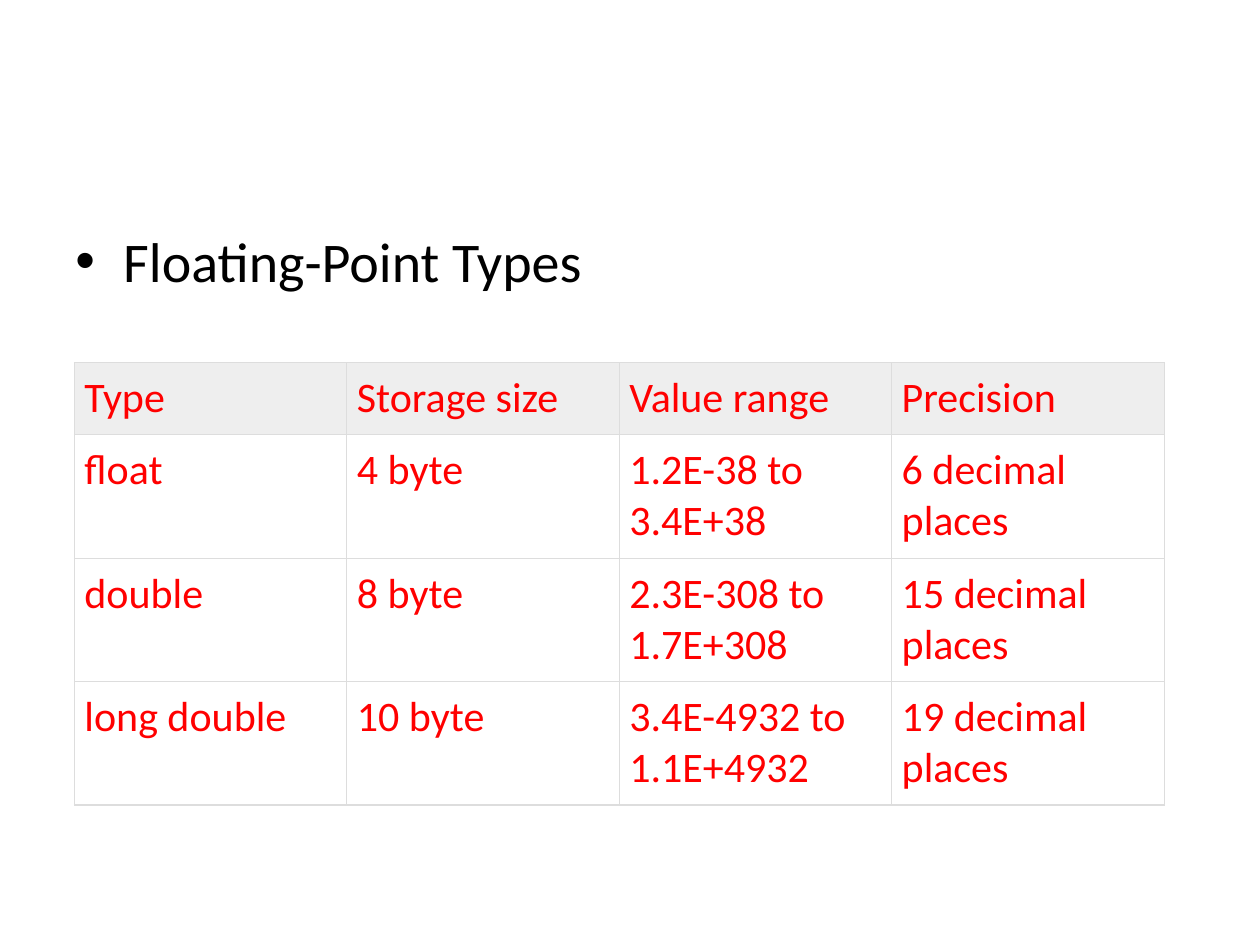
from typing import NamedTuple

from lxml import etree
from pptx import Presentation
from pptx import util as u
from pptx.dml.color import RGBColor
from pptx.enum import text
from pptx.oxml import ns

FONT = "Calibri"
RULE_COLOUR = "DDDDDD"
HEADER_FILL = "EEEEEE"
ROW_FILL = "FFFFFF"
CELL_FORMAT = {
    "margin_left": u.Inches(0.08),
    "margin_right": u.Inches(0.08),
    "margin_top": u.Inches(0.08),
    "margin_bottom": u.Inches(0.08),
    "vertical_anchor": text.MSO_ANCHOR.TOP,
}


class FloatType(NamedTuple):
    name: str
    storage: str
    value_range: str
    precision: str


HEADINGS = FloatType("Type", "Storage size", "Value range", "Precision")
FLOAT_TYPES = [
    FloatType("float", "4 byte", "1.2E-38 to 3.4E+38", "6 decimal places"),
    FloatType("double", "8 byte", "2.3E-308 to 1.7E+308", "15 decimal places"),
    FloatType("long double", "10 byte", "3.4E-4932 to 1.1E+4932", "19 decimal places"),
]


def colour(hex_value: str) -> RGBColor:
    return RGBColor.from_string(hex_value)


def add_element(parent, tag: str, **attributes: str):
    return etree.SubElement(parent, ns.qn(tag), attributes)


def write_text(paragraph, words: str, size: int, hex_value: str) -> None:
    run = paragraph.add_run()
    run.text = words
    for attribute, value in {"name": FONT, "size": u.Pt(size), "bold": False}.items():
        setattr(run.font, attribute, value)
    run.font.color.rgb = colour(hex_value)


def add_bullet_point(slide, words: str) -> None:
    box = slide.shapes.add_textbox(
        u.Inches(0.5), u.Inches(1.75), u.Inches(9), u.Inches(4.95))
    box.text_frame.word_wrap = True
    point = box.text_frame.paragraphs[0]
    write_text(point, words, 32, "000000")

    # Hanging bullet, with space before it relative to the text size
    properties = point._p.get_or_add_pPr()
    properties.set("marL", str(u.Inches(0.38)))
    properties.set("indent", str(u.Inches(-0.38)))
    add_element(add_element(properties, "a:spcBef"), "a:spcPct", val="20000")
    add_element(properties, "a:buFont", typeface="Arial")
    add_element(properties, "a:buChar", char="•")


def set_borders(cell) -> None:
    properties = cell._tc.get_or_add_tcPr()
    for position, side in enumerate(("a:lnL", "a:lnR", "a:lnT", "a:lnB")):
        line = add_element(properties, side, w=str(u.Pt(0.75)))
        fill = add_element(line, "a:solidFill")
        add_element(fill, "a:srgbClr", val=RULE_COLOUR)
        properties.insert(position, line)  # borders come before the fill


def fill_cell(cell, words: str, fill: str) -> None:
    for attribute, value in CELL_FORMAT.items():
        setattr(cell, attribute, value)
    cell.fill.solid()
    cell.fill.fore_color.rgb = colour(fill)
    set_borders(cell)
    write_text(cell.text_frame.paragraphs[0], words, 24, "FF0000")


def add_type_table(slide, records: list[FloatType]) -> None:
    frame = slide.shapes.add_table(
        len(records), len(HEADINGS),
        u.Inches(0.59), u.Inches(2.88), u.Inches(8.65), u.Inches(3.51))
    table = frame.table
    for row_number, record in enumerate(records):
        is_header = row_number == 0
        table.rows[row_number].height = u.Inches(0.57 if is_header else 0.98)
        for column_number, words in enumerate(record):
            fill_cell(table.cell(row_number, column_number), words,
                      HEADER_FILL if is_header else ROW_FILL)


def main() -> None:
    deck = Presentation()
    deck.slide_width, deck.slide_height = u.Inches(10), u.Inches(7.5)
    slide = deck.slides.add_slide(deck.slide_layouts[6])

    # Topic
    add_bullet_point(slide, "Floating-Point Types")

    # Sizes, ranges and precision
    add_type_table(slide, [HEADINGS, *FLOAT_TYPES])

    deck.save("out.pptx")


if __name__ == "__main__":
    main()
